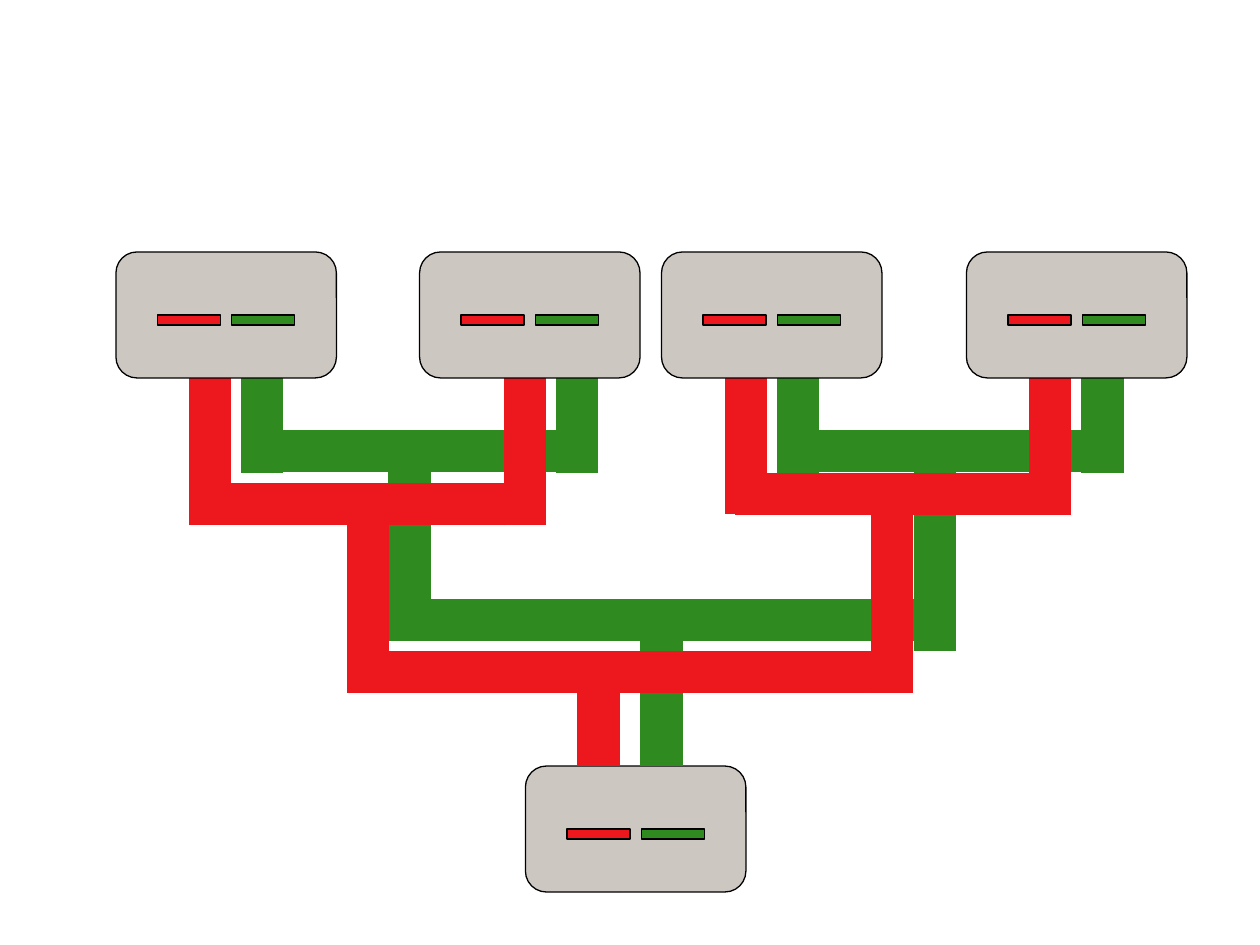
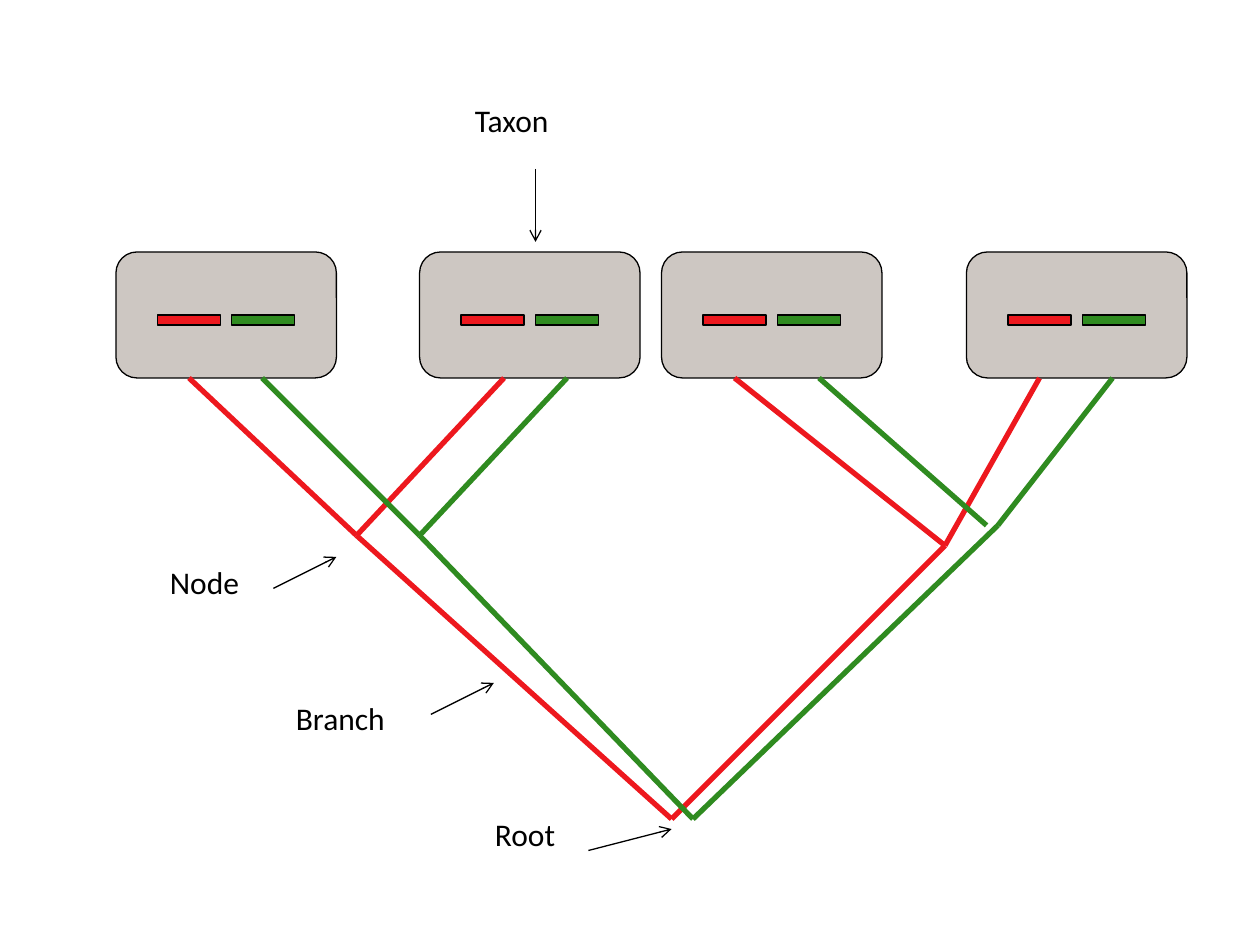
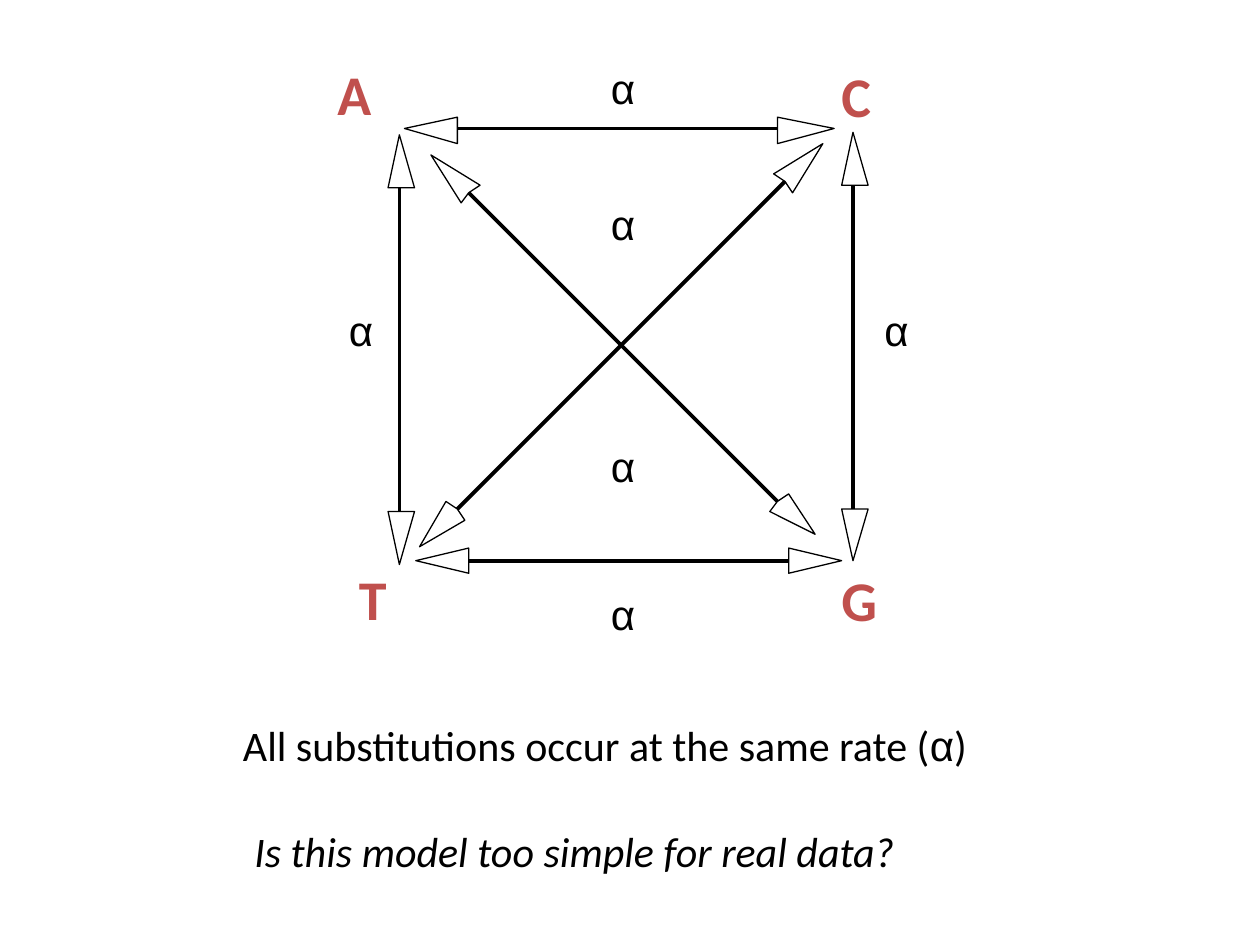
import pptx
import pptx.util
import pptx.dml.color
import pptx.enum.shapes
import pptx.oxml.ns
import pptx.oxml.xmlchemy

Inches = pptx.util.Inches
KIND = pptx.enum.shapes.MSO_SHAPE
COLORS = {"red": "ED181E", "green": "2F8B20", "gray": "CDC7C2",
          "black": "000000", "white": "FFFFFF", "rust": "C0504D"}

TAXA = [(0.92, 2), (3.33, 2), (5.25, 2), (7.67, 2)]
ROOT = (4.17, 6.08)
BARS = [(0.33, "red"), (0.92, "green")]

PIPES = [
    ("green", (5.25, 6.08), (5.25, 4.83)),
    ("red", (4.75, 6.08), (4.75, 5.5)),
    ("red", (3, 5.33), (7.08, 5.33)),
    ("green", (3, 4.92), (7.33, 4.92)),
    ("red", (7.08, 5.5), (7.08, 4.08)),
    ("green", (7.42, 5.17), (7.42, 3.58)),
    ("green", (3.25, 5.08), (3.25, 3.58)),
    ("red", (2.92, 5.5), (2.92, 4.17)),
    ("red", (1.58, 4), (4.25, 4)),
    ("red", (5.83, 3.92), (8.5, 3.92)),
    ("green", (1.92, 3.58), (4.58, 3.58)),
    ("red", (1.67, 4.17), (1.67, 2.83)),
    ("red", (4.17, 4.17), (4.17, 2.83)),
    ("red", (5.92, 4.08), (5.92, 2.75)),
    ("green", (6.17, 3.58), (8.75, 3.58)),
    ("red", (8.33, 4.08), (8.33, 2.75)),
    ("green", (2.08, 3.75), (2.08, 2.83)),
    ("green", (4.58, 3.75), (4.58, 2.83)),
    ("green", (6.33, 3.75), (6.33, 2.75)),
    ("green", (8.75, 3.75), (8.75, 2.75)),
]

TREES = [
    ("red", (5.33, 6.5), [((2.83, 4.25), [(1.5, 3), (4, 3)]),
                          ((7.5, 4.33), [(5.83, 3), (8.25, 3)])]),
    ("green", (5.5, 6.5), [((3.33, 4.25), [(2.08, 3), (4.5, 3)]),
                           ((7.92, 4.17), [(6.5, 3), (8.83, 3)])]),
]
SHORT = {(6.5, 3): (7.83, 4.17)}

TERMS = [
    ("Node", (1.25, 4.42, 1.01, 0.51), (2.17, 4.67), (2.67, 4.42)),
    ("Root", (3.83, 6.42, 0.92, 0.51), (4.67, 6.75), (5.33, 6.58)),
    ("Branch", (2.25, 5.5, 1.27, 0.51), (3.42, 5.67), (3.92, 5.42)),
    ("Taxon", (3.67, 0.75, 1.1, 0.51), (4.25, 1.34), (4.25, 1.92)),
]

FLAT = ((0, -0.09), (0, 0.12))
EVEN = ((0, -0.1), (0, 0.1))
TALL = ((0.12, 0), (-0.09, 0))
RISE = ((-0.09, -0.06), (0.06, 0.09))
FALL = ((0.09, -0.06), (-0.06, 0.08))
ARROWS = [
    ((3.21, 1.02), (3.63, 1.02), (6.17, 1.02), (6.62, 1.02), FLAT),
    ((3.3, 4.45), (3.72, 4.45), (6.26, 4.45), (6.68, 4.45), EVEN),
    ((6.77, 1.05), (6.77, 1.47), (6.77, 4.04), (6.77, 4.45), TALL),
    ((3.17, 1.07), (3.17, 1.49), (3.17, 4.06), (3.17, 4.48), TALL),
    ((3.33, 4.34), (3.63, 4.04), (6.23, 1.44), (6.53, 1.14), RISE),
    ((3.42, 1.23), (3.72, 1.53), (6.17, 3.98), (6.47, 4.24), FALL),
]
BASES = [("A", 2.58, 0.42), ("T", 2.75, 4.43), ("C", 6.58, 0.44), ("G", 6.58, 4.44)]
RATES = [(2.67, 2.37), (6.92, 2.37), (4.75, 0.45),
         (4.75, 4.62), (4.75, 1.53), (4.75, 3.45)]
CLAIM = [("All substitutions occur at the same rate (", "Calibri"),
         ("α", "Arial"), (")", "Calibri")]
ASK = "Is this model too simple for real data?"


def rgb(name):
    return pptx.dml.color.RGBColor.from_string(COLORS[name])


def paint(shape, fill, width=0.75):
    shape.shadow.inherit = False
    shape.fill.solid()
    shape.fill.fore_color.rgb = rgb(fill)
    shape.line.color.rgb = rgb("black")
    shape.line.width = pptx.util.Pt(width)


def rule(shapes, start, end, color="black", width=0.75, head=False):
    line = shapes.add_connector(pptx.enum.shapes.MSO_CONNECTOR.STRAIGHT,
                                *map(Inches, start + end))
    line.line.color.rgb = rgb(color)
    line.line.width = pptx.util.Pt(width)
    props = line._element.spPr
    if head:
        tail = pptx.oxml.xmlchemy.OxmlElement("a:tailEnd")
        tail.set("type", "arrow")
        props.find(pptx.oxml.ns.qn("a:ln")).append(tail)
    props.append(pptx.oxml.xmlchemy.OxmlElement("a:effectLst"))


def write(slide, text, place, size=18, face="Calibri", color="black",
          bold=False, slant=False):
    frame = slide.shapes.add_textbox(*map(Inches, place)).text_frame
    frame.word_wrap = True
    runs = [(text, face)] if isinstance(text, str) else text
    for words, name in runs:
        run = frame.paragraphs[0].add_run()
        run.text = words
        run.font.name = name
        run.font.size = pptx.util.Pt(size)
        run.font.bold = bold
        run.font.italic = slant
        run.font.color.rgb = rgb(color)


def taxon(slide, left, top):
    parts = [(KIND.ROUNDED_RECTANGLE, (left, top, 1.75, 1), "gray")]
    parts += [(KIND.RECTANGLE, (left + shift, top + 0.5, 0.5, 0.08), color)
              for shift, color in BARS]
    for kind, place, color in parts:
        paint(slide.shapes.add_shape(kind, *map(Inches, place)), color)


def tip(shapes, point, base, sides):
    near, far = [(base[0] + x, base[1] + y) for x, y in sides]
    path = [tuple(map(Inches, spot)) for spot in (point, near, base, far)]
    pen = shapes.build_freeform(*path[0])
    pen.add_line_segments(path[1:], close=True)
    paint(pen.convert_to_shape(), "white")


def pipes(slide):
    taxon(slide, *ROOT)
    for color, start, end in PIPES:
        rule(slide.shapes, start, end, color, 24)
    for spot in TAXA:
        taxon(slide, *spot)


def tree(slide):
    for spot in TAXA:
        taxon(slide, *spot)
    for color, root, nodes in TREES:
        for node, leaves in nodes:
            for leaf in leaves:
                rule(slide.shapes, leaf, SHORT.get(leaf, node), color, 3)
            rule(slide.shapes, node, root, color, 3)
    for term, place, start, end in TERMS:
        write(slide, term, place)
        rule(slide.shapes, start, end, head=True)


def model(slide):
    for first, start, end, last, sides in ARROWS:
        group = slide.shapes.add_group_shape().shapes
        tip(group, first, start, sides)
        tip(group, last, end, sides)
        rule(group, start, end, width=2.13)
    for base, left, top in BASES:
        write(slide, base, (left, top, 0.55, 0.64), size=32, color="rust", bold=True)
    for left, top in RATES:
        write(slide, "α", (left, top, 0.41, 0.5), size=24, face="Arial")
    write(slide, CLAIM, (1.83, 5.66, 6.52, 0.5), size=24)
    write(slide, ASK, (1.92, 6.5, 5.88, 0.5), size=24, slant=True)


def main():
    deck = pptx.Presentation()
    deck.slide_width, deck.slide_height = Inches(10), Inches(7.5)
    for draw in (pipes, tree, model):
        draw(deck.slides.add_slide(deck.slide_layouts[6]))
    deck.save("out.pptx")


if __name__ == "__main__":
    main()
